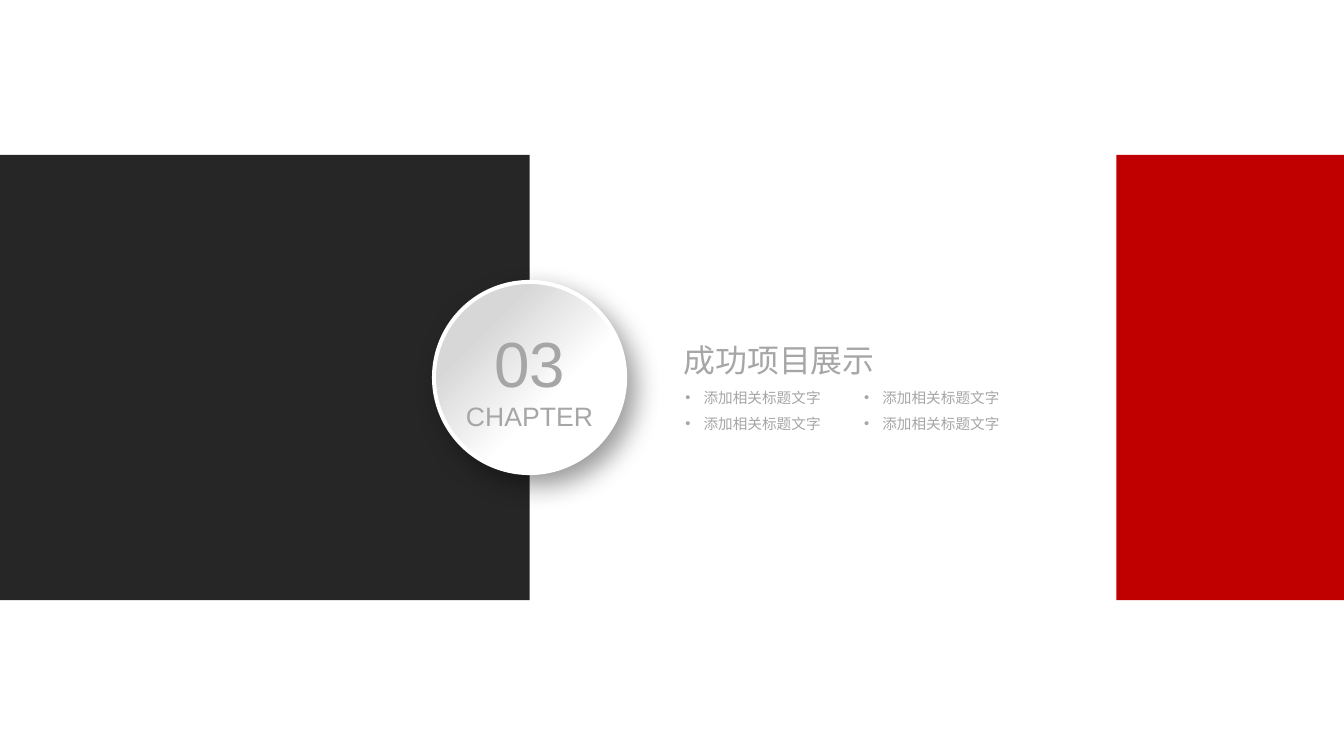
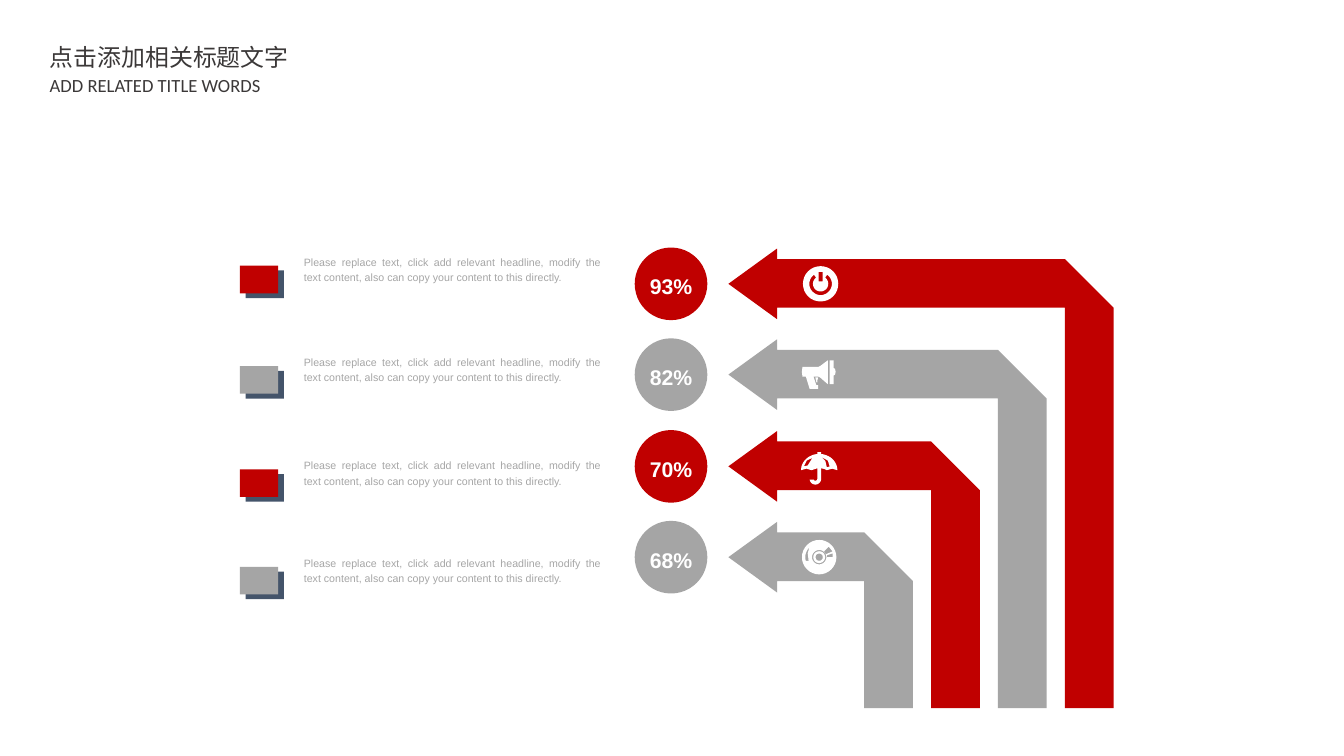
from math import cos, radians, sin
from lxml.etree import SubElement as Sub
from pptx import Presentation
from pptx.dml.color import RGBColor as Rgb
from pptx.enum.shapes import MSO_SHAPE as Kind
from pptx.enum.text import MSO_ANCHOR as Anchor, MSO_AUTO_SIZE as Auto, PP_ALIGN as Align
from pptx.oxml.ns import qn
from pptx.util import Pt

PX = 9144
FINE = PX / 10
WIDE, HIGH = 1406, 791
HUES = {"red": "C00000", "gray": "A5A5A5", "text": "A6A6A6", "dark": "262626",
        "ink": "3B3838", "navy": "44546A", "white": "FFFFFF", "silver": "D7D7D7",
        "black": "000000"}
HAN = "Noto Sans CJK SC"
NOTE = ("Please replace text, click add relevant headline, modify the text content, "
        "also can copy your content to this directly.")


def hue(name):
    """Return a named colour."""
    return Rgb.from_string(HUES[name])


def paint(shape, name):
    """Give a shape a flat fill with no line or shadow."""
    shape.shadow.inherit = False
    shape.fill.solid()
    shape.fill.fore_color.rgb = hue(name)
    shape.line.fill.background()
    return shape


def block(slide, kind, box, name):
    """Add a flat preset shape."""
    return paint(slide.shapes.add_shape(kind, *(v * PX for v in box)), name)


def trace(slide, paths, spot, name, scale=PX):
    """Add a flat outline made of closed paths around a spot."""
    first, *rest = paths
    pen = slide.shapes.build_freeform(*first[0], scale=scale)
    pen.add_line_segments(first[1:], close=True)
    for path in rest:
        pen.move_to(*path[0])
        pen.add_line_segments(path[1:], close=True)
    return paint(pen.convert_to_shape(*(v * PX for v in spot)), name)


def place(shape, box):
    """Move a shape into a box."""
    shape.left, shape.top, shape.width, shape.height = (v * PX for v in box)
    return shape


def write(shape, lines, name="text", face="Arial", bold=False, align=Align.LEFT,
          anchor=Anchor.TOP, pads=(0, 0), lead=1.0, gap=0, dot=False):
    """Fill a shape with (text, size) lines in one style."""
    frame = shape.text_frame
    frame.auto_size = Auto.NONE
    frame.word_wrap = True
    frame.vertical_anchor = anchor
    frame.margin_left = frame.margin_right = pads[0] * PX
    frame.margin_top = frame.margin_bottom = pads[1] * PX
    for i, (text, size) in enumerate(lines):
        para = frame.add_paragraph() if i else frame.paragraphs[0]
        if dot:
            props = para._p.get_or_add_pPr()
            props.set("marL", str(19 * PX))
            props.set("indent", str(-19 * PX))
            Sub(props, qn("a:buFont"), typeface="Arial")
            Sub(props, qn("a:buChar"), char="•")
        para.alignment = align
        para.line_spacing = lead
        para.space_before = Pt(gap if i else 0)
        run = para.add_run()
        run.text = text
        font = run.font
        font.size, font.bold, font.name = Pt(size), bold, face
        font.color.rgb = hue(name)
        Sub(run._r.get_or_add_rPr(), qn("a:ea"), typeface=HAN)


def label(slide, box, lines, **style):
    """Add a text box."""
    write(slide.shapes.add_textbox(*(v * PX for v in box)), lines, **style)


def badge(slide, box):
    """Draw the raised chapter disc."""
    disc = block(slide, Kind.OVAL, box, "white")
    disc.fill.gradient()
    disc.fill.gradient_angle = 315
    stops = ((0.25, "silver"), (0.62, "white"))
    for stop, (at, name) in zip(disc.fill.gradient_stops, stops):
        stop.position = at
        stop.color.rgb = hue(name)
    disc.line.color.rgb = hue("white")
    disc.line.width = Pt(3)
    glow = disc._element.spPr.find(qn("a:effectLst"))
    cast = Sub(glow, qn("a:outerShdw"), blurRad=str(Pt(20)), dist=str(Pt(10)),
               dir=str(50 * 60000), algn="ctr", rotWithShape="0")
    tint = Sub(cast, qn("a:srgbClr"), val=HUES["black"])
    Sub(tint, qn("a:alpha"), val="40000")
    write(disc, [("03", 48), ("CHAPTER", 20)], align=Align.CENTER, anchor=Anchor.MIDDLE)


def chapter(deck):
    """Build the chapter slide."""
    slide = deck.slides.add_slide(deck.slide_layouts[3])
    top, tall = 162, 466
    block(slide, Kind.RECTANGLE, (0, top, 554, tall), "dark")
    block(slide, Kind.RECTANGLE, (1168, top, WIDE - 1168, tall), "red")
    badge(slide, (454, 295, 200, 200))
    title, *lists = slide.placeholders
    write(place(title, (715, 356, 348, 48)), [("成功项目展示", 24)])
    for i, body in enumerate(lists):
        place(body, (707 + 187 * i, 402, 170, 62))
        write(body, [("添加相关标题文字", 11)] * 2, pads=(10, 5), gap=6, dot=True)


def arc(x, y, wide, high, start, end):
    """Return points along part of an ellipse."""
    turns = (radians(start + (end - start) * i / 32) for i in range(33))
    return [(round(x + wide * cos(t)), round(y + high * sin(t))) for t in turns]


def ring(x, size):
    """Return a full circle."""
    return arc(x, 0, size, size, 0, 360)


def power():
    """Return the power icon."""
    return [ring(15, 185), [(-5, -125), (35, -125), (35, -25), (-5, -25)],
            arc(15, 0, 118, 118, -54, 234) + arc(15, 0, 80, 80, 234, -54)]


def horn():
    """Return the megaphone icon."""
    return [[(-175, -80), (-10, -80), (10, -90), (90, -150), (90, 100), (10, 30),
             (-10, 20), (-60, 20), (-30, 110), (-10, 110), (-10, 150), (-100, 150),
             (-140, 20), (-175, 20), (-182, -30)],
            [(110, -150), (150, -150), (150, -70), (165, -60), (172, -30), (165, 0),
             (150, 10), (150, 100), (110, 100)],
            [(-10, 30), (-40, 30), (-30, 80), (-20, 80), (-20, 60)]]


def shade():
    """Return the umbrella icon."""
    dome = (0, 40, 190, 170)
    edge = (arc(*dome, 180, 264) + [(-20, -150), (20, -150)] + arc(*dome, 276, 360)
            + [(135, 24), (80, 40), (50, 26), (20, 20)]
            + arc(-40, 130, 60, 60, 0, 170) + arc(-40, 130, 20, 20, 150, 0)
            + [(-20, 20), (-80, 40), (-135, 24)])
    return [edge, [(80, 10), (110, 0), (90, -60), (20, -100), (65, -55)],
            [(-160, 0), (-120, -10), (-70, -90), (-130, -60)]]


def disc():
    """Return the record icon."""
    slot = [(-100, -110)] + arc(0, 0, 145, 145, 228, 164) + [(-110, 40), (-120, -40)]
    return [ring(0, size) for size in (180, 75, 62, 38)] + [
        slot, [(50, -60), (70, -30), (140, -60), (100, -110)],
        [(80, -20), (80, 0), (140, 0), (140, -40)]]


def arrow(slide, mid, right, name, icon):
    """Draw a bent arrow that rises from the foot and points left."""
    tip, neck, foot, bar = 762, 813, 741, 51
    top, low, left = mid - 26, mid + 25, right - bar
    path = [(tip, mid), (neck, mid - 37), (neck, top), (left, top), (right, low),
            (right, foot), (left, foot), (left, low), (neck, low), (neck, mid + 37)]
    trace(slide, [path], (0, 0), name)
    trace(slide, icon(), (857, mid), "white", FINE)


def score(slide, mid, text, name):
    """Draw a percentage disc."""
    dot = block(slide, Kind.OVAL, (664, mid - 38, 76, 76), name)
    write(dot, [(text, 16)], "white", bold=True, align=Align.CENTER,
          anchor=Anchor.MIDDLE, lead=1.2)


def note(slide, top, name):
    """Draw a marker and its text."""
    for x, y, tone in ((257, 23, "navy"), (251, 18, name)):
        block(slide, Kind.RECTANGLE, (x, top + y, 40, 29), tone)
    label(slide, (308, top, 331, 41), [(NOTE, 8)], align=Align.JUSTIFY,
          pads=(10, 5), lead=1.2)


def arrows(deck):
    """Build the arrow slide."""
    slide = deck.slides.add_slide(deck.slide_layouts[5])
    write(place(slide.shapes.title, (41, 40, 400, 41)), [("点击添加相关标题文字", 18)],
          "ink", HAN, pads=(11, 5))
    label(slide, (41, 72, 400, 34), [("ADD RELATED TITLE WORDS", 14)],
          name="ink", face="Calibri", pads=(11, 5))
    rows = (("93%", "red", power, 260), ("82%", "gray", horn, 365),
            ("70%", "red", shade, 473), ("68%", "gray", disc, 575))
    for i, (text, name, icon, top) in enumerate(rows):
        mid = 297 + 191 * i // 2
        score(slide, mid, text, name)
        arrow(slide, mid, 1165 - 70 * i, name, icon)
        note(slide, top, name)


def main():
    """Build and save the deck."""
    deck = Presentation()
    deck.slide_width, deck.slide_height = WIDE * PX, HIGH * PX
    chapter(deck)
    arrows(deck)
    deck.save("out.pptx")


if __name__ == "__main__":
    main()
